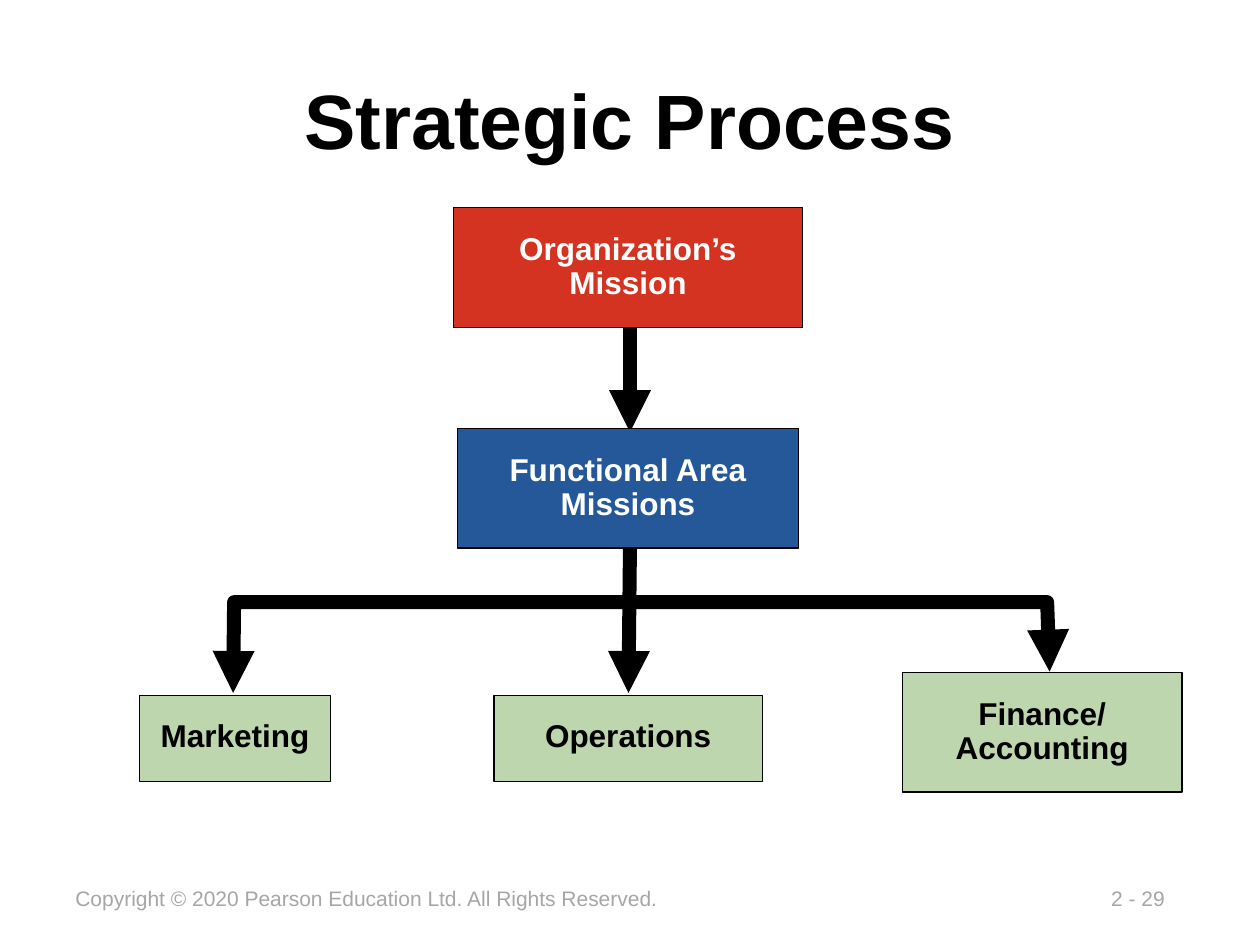
from lxml.etree import SubElement
from pptx import Presentation
from pptx.dml.color import RGBColor
from pptx.enum.shapes import MSO_CONNECTOR as Link, MSO_SHAPE as Shape
from pptx.enum.text import MSO_ANCHOR as Anchor, PP_ALIGN as Align
from pptx.oxml.ns import qn
from pptx.util import Cm, Pt

BLACK, WHITE, GRAY = "000000", "FFFFFF", "A6A6A6"
RED, BLUE, GREEN = "D33320", "255898", "BDD6AE"


def color(value):
    return RGBColor.from_string(value)


def write(shape, text, *, size=18, ink=BLACK, bold=False, align=Align.LEFT,
          anchor=Anchor.TOP, wrap=True, insets=(0.25, 0.13), spacing=None):
    frame = shape.text_frame
    frame.word_wrap = wrap
    frame.vertical_anchor = anchor
    frame.margin_left = frame.margin_right = Cm(insets[0])
    frame.margin_top = frame.margin_bottom = Cm(insets[1])
    para = frame.paragraphs[0]
    para.alignment = align
    para.line_spacing = spacing
    span = para.add_run()
    span.text = text
    span.font.name = "Arial"
    span.font.size = Pt(size)
    span.font.bold = bold
    span.font.color.rgb = color(ink)


def add_label(page, text, box, **style):
    label = page.shapes.add_textbox(*map(Cm, box))
    write(label, text, **style)


def add_step(page, text, box, fill, ink=BLACK, wrap=True):
    step = page.shapes.add_shape(Shape.RECTANGLE, *map(Cm, box))
    step.shadow.inherit = False
    step.fill.solid()
    step.fill.fore_color.rgb = color(fill)
    step.line.color.rgb = color(BLACK)
    step.line.width = Pt(0.75)
    write(step, text, ink=ink, bold=True, align=Align.CENTER, wrap=wrap,
          insets=(0.41, 0.51), spacing=0.9)


def style_arrow(arrow, ends):
    arrow.line.color.rgb = color(BLACK)
    arrow.line.width = Pt(8)
    outline = arrow.line._get_or_add_ln()
    SubElement(outline, qn("a:round"))
    for end in ends:
        SubElement(outline, qn(f"a:{end}"), type="triangle")


def add_path(page, points, ends):
    corners = [(Cm(x), Cm(y)) for x, y in points]
    builder = page.shapes.build_freeform(*corners[0], scale=1.0)
    builder.add_line_segments(corners[1:], close=False)
    arrow = builder.convert_to_shape()
    arrow.shadow.inherit = False
    arrow.fill.background()
    style_arrow(arrow, ends)


def add_areas(page, left, top):
    middle = left + 9.88
    rail = top - 1.42
    add_path(page, [(middle, top - 2.51), (middle - 0.03, top + 0.41)], ["tailEnd"])
    add_path(page, [(left + 1.88, top + 0.41), (left + 1.9, rail),
                    (left + 18.29, rail), (left + 18.34, top - 0.02)],
             ["headEnd", "tailEnd"])
    add_step(page, "Marketing", (left, top + 0.46, 3.84, 1.73), GREEN, wrap=False)
    add_step(page, "Operations", (left + 7.14, top + 0.46, 5.41, 1.73), GREEN)
    add_step(page, "Finance/ Accounting", (left + 15.37, top, 5.64, 2.41), GREEN)


def add_missions(page, center, top):
    middle = Cm(center)
    arrow = page.shapes.add_connector(
        Link.STRAIGHT, middle, Cm(top + 2.24), middle, Cm(top + 4.52))
    SubElement(arrow._element.spPr, qn("a:effectLst"))
    style_arrow(arrow, ["tailEnd"])
    for text, offset, width, fill in [
        ("Functional Area Missions", 4.45, 6.88, BLUE),
        ("Organization’s Mission", 0, 7.04, RED),
    ]:
        box = (center - 0.04 - width / 2, top + offset, width, 2.41)
        add_step(page, text, box, fill, WHITE)


def add_footer(page, left, top):
    style = {"size": 12, "ink": GRAY, "wrap": False}
    add_label(page, "2 - 29", (left + 20.88, top, 1.65, 0.76), **style)
    add_label(page, "Copyright © 2020 Pearson Education Ltd. All Rights Reserved.",
              (left, top, 12.5, 0.76), **style)


def main():
    deck = Presentation()
    deck.slide_width, deck.slide_height = Cm(25.4), Cm(19.05)
    page = deck.slides.add_slide(deck.slide_layouts[6])
    add_footer(page, 1.27, 17.73)
    add_label(page, "Strategic Process", (1.9, 1.22, 21.6, 2.34), size=44,
              bold=True, align=Align.CENTER, anchor=Anchor.MIDDLE)
    add_areas(page, 2.82, 13.56)
    add_missions(page, 12.7, 4.19)
    deck.save("out.pptx")


if __name__ == "__main__":
    main()
